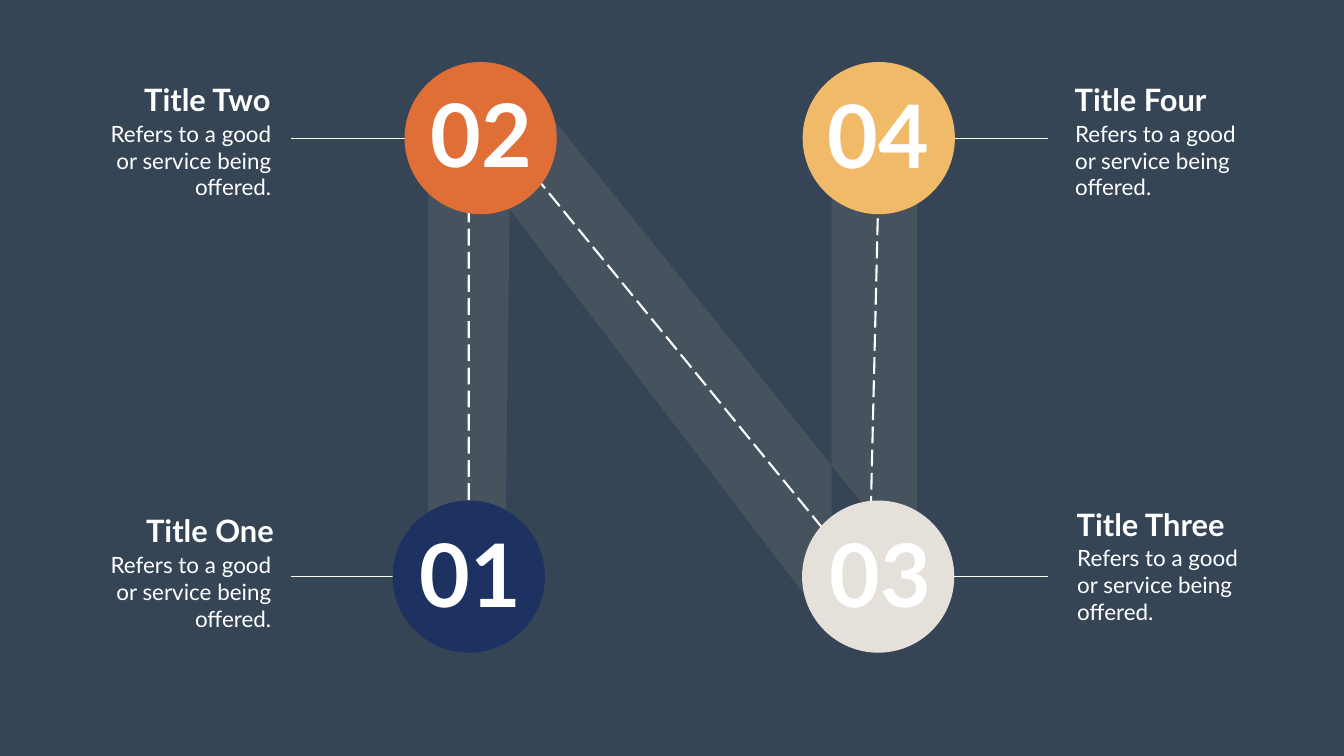
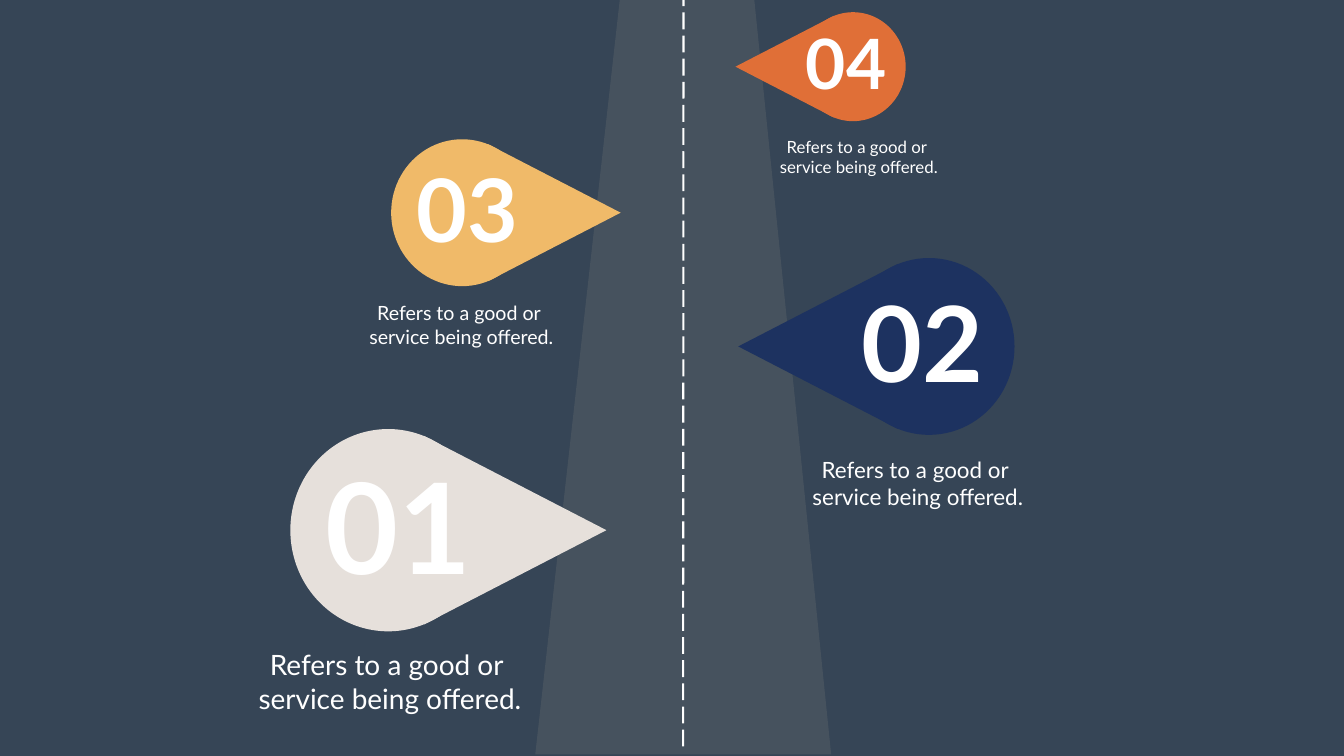
from lxml import etree
from pptx import Presentation
from pptx.dml.color import RGBColor
from pptx.enum.dml import MSO_LINE
from pptx.enum.shapes import MSO_CONNECTOR, MSO_SHAPE
from pptx.enum.text import MSO_AUTO_SIZE, PP_ALIGN
from pptx.oxml.ns import qn
from pptx.util import Cm, Pt

LEFT, CENTER, RIGHT = PP_ALIGN.LEFT, PP_ALIGN.CENTER, PP_ALIGN.RIGHT
LONG_DASH = MSO_LINE.LONG_DASH
STRAIGHT = MSO_CONNECTOR.STRAIGHT
OVAL = MSO_SHAPE.OVAL
GROW = MSO_AUTO_SIZE.SHAPE_TO_FIT_TEXT

COLORS = {
    "background": "364556",
    "road": "797979",
    "white": "FFFFFF",
    "navy": "1D3260",
    "orange": "E06F37",
    "yellow": "F0BA69",
    "sand": "E6E0DB",
}
FONT = "Lato"
ROAD_OPACITY = 25
MARKING_WIDTH = 3
LEADER_WIDTH = 0.57
LINE_HEIGHT = 0.0427
DIGIT_PAIR_WIDTH = 0.0414


class RoadmapDeck:
    def __init__(self, width, height):
        self.presentation = Presentation()
        self.presentation.slide_width = Cm(width)
        self.presentation.slide_height = Cm(height)
        self.slide = None

    def color(self, name):
        return RGBColor.from_string(COLORS[name])

    def add_slide(self):
        blank = self.presentation.slide_layouts[6]
        self.slide = self.presentation.slides.add_slide(blank)
        fill = self.slide.background.fill
        fill.solid()
        fill.fore_color.rgb = self.color("background")

    def paint(self, shape, color):
        shape.shadow.inherit = False
        shape.fill.solid()
        shape.fill.fore_color.rgb = self.color(color)
        shape.line.fill.background()

    def mark(self, line, width, dash=None):
        line.color.rgb = self.color("white")
        line.width = Pt(width)
        if dash is not None:
            line.dash_style = dash

    def outline(self, points, close=True):
        (start_x, start_y), *others = [(Cm(x), Cm(y)) for x, y in points]
        builder = self.slide.shapes.build_freeform(start_x, start_y)
        builder.add_line_segments(others, close=close)
        return builder.convert_to_shape()

    def road(self, points):
        surface = self.outline(points)
        self.paint(surface, "road")
        tint = surface.element.spPr.find(qn("a:solidFill")).find(qn("a:srgbClr"))
        etree.SubElement(tint, qn("a:alpha"), val=str(ROAD_OPACITY * 1000))

    def route(self, points):
        marking = self.outline(points, close=False)
        marking.shadow.inherit = False
        marking.fill.background()
        self.mark(marking.line, MARKING_WIDTH, LONG_DASH)

    def line(self, start, end, width, dash=None):
        connector = self.slide.shapes.add_connector(
            STRAIGHT, Cm(start[0]), Cm(start[1]), Cm(end[0]), Cm(end[1]))
        self.mark(connector.line, width, dash)
        etree.SubElement(connector.element.spPr, qn("a:effectLst"))

    def disc(self, center_x, center_y, width, height, color):
        disc = self.slide.shapes.add_shape(
            OVAL, Cm(center_x - width / 2), Cm(center_y - height / 2),
            Cm(width), Cm(height))
        self.paint(disc, color)

    def pin(self, center_x, center_y, width, direction, color):
        base_x = center_x + direction * 0.182 * width
        tip_x = center_x + direction * 1.115 * width
        half = 0.482 * width
        point = self.outline([(base_x, center_y - half), (tip_x, center_y),
                              (base_x, center_y + half)])
        self.paint(point, color)
        self.disc(center_x, center_y, width, 1.034 * width, color)

    def text(self, words, left, top, width, size, align=LEFT, bold=False,
             wrap=True, lines=1):
        height = 0.254 + LINE_HEIGHT * size * lines
        box = self.slide.shapes.add_textbox(Cm(left), Cm(top), Cm(width), Cm(height))
        frame = box.text_frame
        frame.word_wrap = wrap
        frame.auto_size = GROW
        frame.text = words
        for paragraph in frame.paragraphs:
            paragraph.alignment = align
            paragraph.font.name = FONT
            paragraph.font.size = Pt(size)
            paragraph.font.bold = bold
            paragraph.font.color.rgb = self.color("white")

    def number(self, words, left, top, size):
        self.text(words, left, top, 0.508 + DIGIT_PAIR_WIDTH * size, size,
                  bold=True, wrap=False)

    def save(self):
        self.presentation.save("out.pptx")


def build_zigzag(deck):
    deck.add_slide()
    upper, lower = 6.96, 29.06
    for y in (upper, lower):
        deck.line((14.66, y), (22.35, y), LEADER_WIDTH)
        deck.line((45.11, y), (52.83, y), LEADER_WIDTH)
    deck.road([(21.56, 30.28), (25.43, 30.3), (25.68, 10.54), (40.79, 30.3),
               (46.2, 30.3), (46.2, 5.33), (41.91, 5.33), (41.91, 26.44),
               (44.3, 26.44), (27.33, 5.33), (21.56, 5.26)])
    deck.route([(23.62, 25.2), (23.62, 4.78), (43.79, 29.49), (44.37, 5)])

    stops = [
        ("01", 23.62, lower, "navy", (20.9, 26.06)),
        ("02", 24.22, upper, "orange", (21.46, 3.91)),
        ("03", 44.25, lower, "sand", (41.55, 26.09)),
        ("04", 44.28, upper, "yellow", (41.45, 3.96)),
    ]
    for number, x, y, color, (number_left, number_top) in stops:
        deck.disc(x, y, 7.67, 7.67, color)
        deck.number(number, number_left, number_top, 125)

    descriptions = [
        ("Title Two", 6.88, 3.94, 7.14, CENTER, 5.28, RIGHT),
        ("Title One", 7.06, 25.68, 7.04, CENTER, 5.28, RIGHT),
        ("Title Four", 53.9, 3.94, 7.29, LEFT, 53.92, LEFT),
        ("Title Three", 54, 25.35, 8.13, LEFT, 54.03, LEFT),
    ]
    for title, left, top, width, title_align, body_left, body_align in descriptions:
        deck.text(title, left, top, width, 44, title_align, bold=True, wrap=False)
        deck.text("Refers to a good or service being offered.",
                  body_left, top + 1.97, 8.64, 32, body_align, lines=3)


def build_perspective(deck):
    deck.add_slide()
    deck.road([(31.27, -0.38), (26.97, 38.02), (41.88, 38.02), (37.97, -0.38)])
    deck.line((34.42, 37.62), (34.44, -1.22), MARKING_WIDTH, LONG_DASH)

    milestones = [
        ("01", (19.56, 26.72, 9.86, 1, "sand"), (16.15, 22.48, 180),
         (12.5, 32.51, 14.3, 40)),
        ("02", (46.81, 17.46, 8.62, -1, "navy"), (43.18, 13.84, 150),
         (40.51, 22.86, 11.48, 32)),
        ("03", (23.29, 10.72, 7.16, 1, "yellow"), (20.75, 7.67, 125),
         (18.14, 15.06, 10.21, 28)),
        ("04", (42.98, 3.36, 5.31, -1, "orange"), (40.36, 0.89, 99),
         (38.89, 6.76, 8.76, 24)),
    ]
    for number, pin, number_place, caption_place in milestones:
        deck.pin(*pin)
        deck.number(number, *number_place)
        deck.text("Refers to a good or \nservice being offered.",
                  *caption_place, CENTER, lines=2)


def main():
    deck = RoadmapDeck(67.72, 38.1)
    build_zigzag(deck)
    build_perspective(deck)
    deck.save()


if __name__ == "__main__":
    main()
